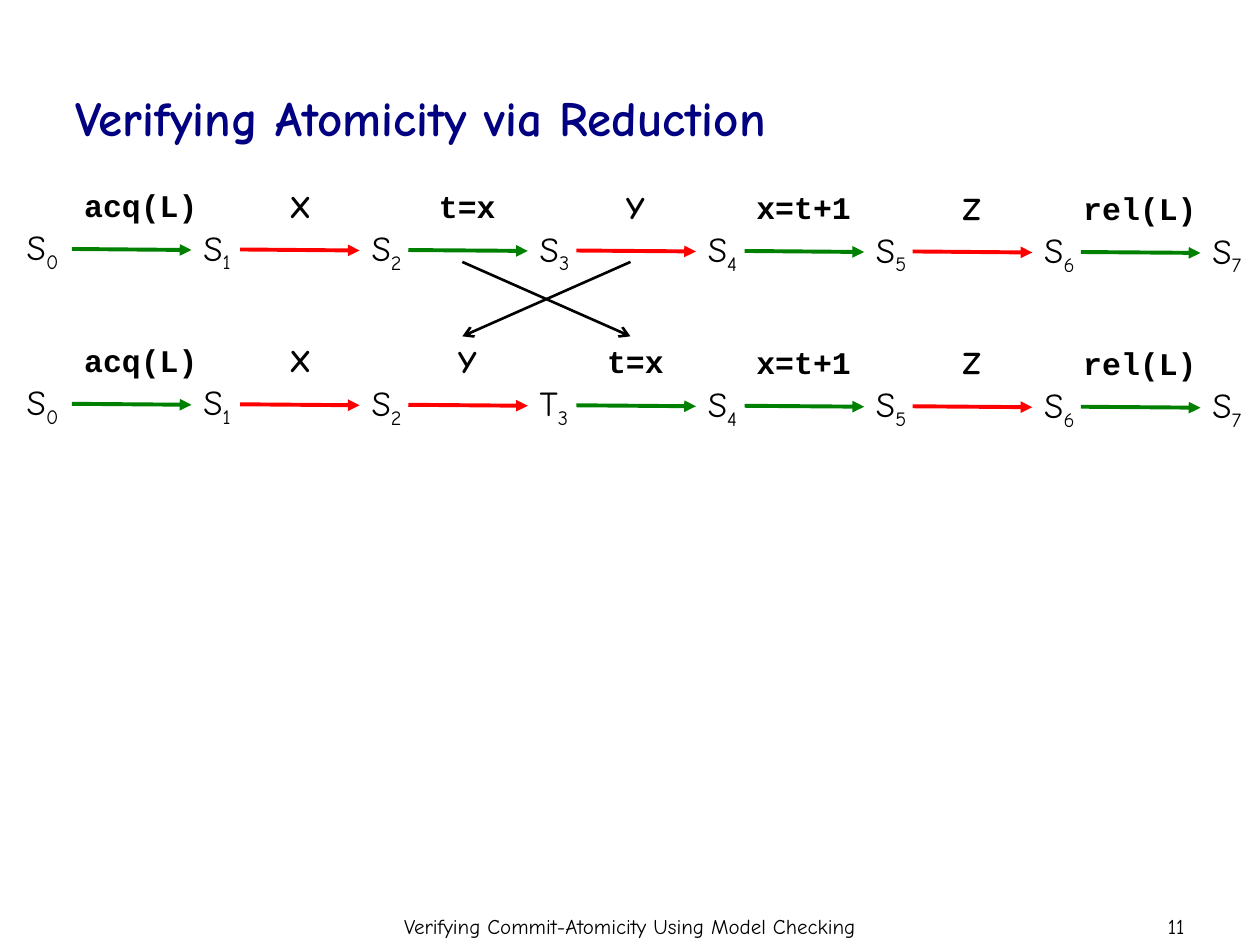
from dataclasses import dataclass
from lxml.etree import SubElement
from pptx import Presentation
from pptx.dml.color import RGBColor
from pptx.enum.shapes import MSO_CONNECTOR
from pptx.enum.text import MSO_ANCHOR, PP_ALIGN
from pptx.oxml.ns import qn
from pptx.util import Cm, Pt

# Content: each trace lists its states and the steps between them
TITLE = "Verifying Atomicity via Reduction"
FOOT = "Verifying Commit-Atomicity Using Model Checking"
PAGE = "11"
TRACES = [
    ("SSSSSSSS", ["acq(L)", "X", "t=x", "Y", "x=t+1", "Z", "rel(L)"]),
    ("SSSTSSSS", ["acq(L)", "X", "Y", "t=x", "x=t+1", "Z", "rel(L)"]),
]
SWAPS = [(2, 3), (3, 2)]


@dataclass(frozen=True)
class Theme:
    font: str = "Comic Neue"
    code: str = "Courier New"
    navy: str = "000080"
    ink: str = "000000"
    own: str = "008000"
    other: str = "FF0000"
    head: int = 28
    state: int = 20
    step: int = 18
    small: int = 12


T = Theme()

# Grid in centimetres
PITCH, ROW = 3.39, 3.12
DRIFT = 0.01


def add_run(para, text, size, font=T.font, color=T.ink, bold=False):
    run = para.add_run()
    run.text = text
    run.font.size = Pt(size)
    run.font.name = font
    run.font.bold = bold
    run.font.color.rgb = RGBColor.from_string(color)
    return run


def add_box(shapes, x, y, w, h, align=PP_ALIGN.LEFT, wrap=False):
    frame = shapes.add_textbox(Cm(x), Cm(y), Cm(w), Cm(h)).text_frame
    frame.word_wrap = wrap
    para = frame.paragraphs[0]
    para.alignment = align
    return frame, para


def add_arrow(shapes, x1, y1, x2, y2, color, width, tip):
    line = shapes.add_connector(
        MSO_CONNECTOR.STRAIGHT, Cm(x1), Cm(y1), Cm(x2), Cm(y2))
    line.line.color.rgb = RGBColor.from_string(color)
    line.line.width = Pt(width)
    SubElement(line.line._get_or_add_ln(), qn("a:tailEnd"), type=tip)
    SubElement(line._element.spPr, qn("a:effectLst"))


def add_state(shapes, col, top, name):
    # The first state sits a little further left
    x = 4.1 + (col - 1) * PITCH if col else 0.54
    frame, para = add_box(shapes, x, top + 0.92 + col * DRIFT, 0.9, 0.9)
    frame.margin_left = frame.margin_right = 0
    frame.margin_top = frame.margin_bottom = 0
    add_run(para, name, T.state)
    sub = add_run(para, str(col), T.state)
    sub.font._element.set("baseline", "-25000")


def add_step(shapes, col, top, text):
    code = len(text) > 1
    mid = 2.64 + col * PITCH + (0 if col else 0.2)
    wide = 0.38 * len(text) + 0.51
    y = top + col * DRIFT
    _, para = add_box(shapes, mid - wide / 2, y, wide, 1.02, PP_ALIGN.CENTER)
    add_run(para, text, T.step, T.code if code else T.font, bold=True)
    x = 1.45 + col * PITCH
    add_arrow(shapes, x, y + 1.39, x + 2.41, y + 1.41,
              T.own if code else T.other, 2.25, "triangle")


def main():
    deck = Presentation()
    deck.slide_width, deck.slide_height = Cm(25.4), Cm(19.05)
    slide = deck.slides.add_slide(deck.slide_layouts[5])

    # Title
    title = slide.shapes.title
    title.left, title.top = Cm(1.27), Cm(0.76)
    title.width, title.height = Cm(22.86), Cm(3.18)
    title.text_frame.vertical_anchor = MSO_ANCHOR.MIDDLE
    para = title.text_frame.paragraphs[0]
    para.alignment = PP_ALIGN.LEFT
    add_run(para, TITLE, T.head, color=T.navy, bold=True)

    # Traces
    for row, (states, steps) in enumerate(TRACES):
        top = 3.63 + row * ROW
        group = slide.shapes.add_group_shape().shapes
        for col, name in enumerate(states):
            add_state(group, col, top, name)
        for col, text in enumerate(steps):
            add_step(group, col, top, text)

    # Swapped steps
    group = slide.shapes.add_group_shape().shapes
    for a, b in SWAPS:
        add_arrow(group, 2.54 + a * PITCH, 5.28, 2.54 + b * PITCH, 6.78,
                  T.ink, 1.5, "arrow")

    # Footer and page number
    for text, x, w, align in [(FOOT, 5.08, 15.24, PP_ALIGN.CENTER),
                              (PAGE, 18.21, 5.92, PP_ALIGN.RIGHT)]:
        _, para = add_box(slide.shapes, x, 18.29, w, 0.76, align, True)
        add_run(para, text, T.small)

    deck.save("out.pptx")


if __name__ == "__main__":
    main()
